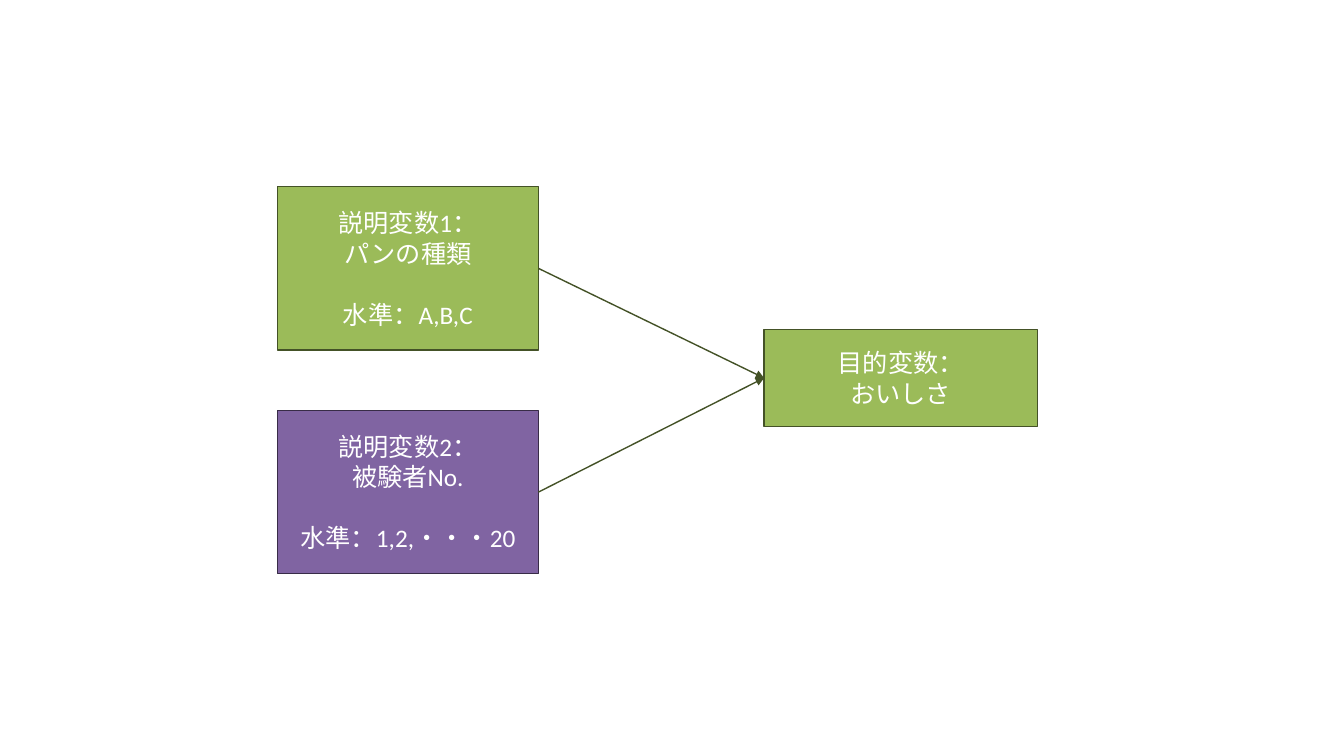
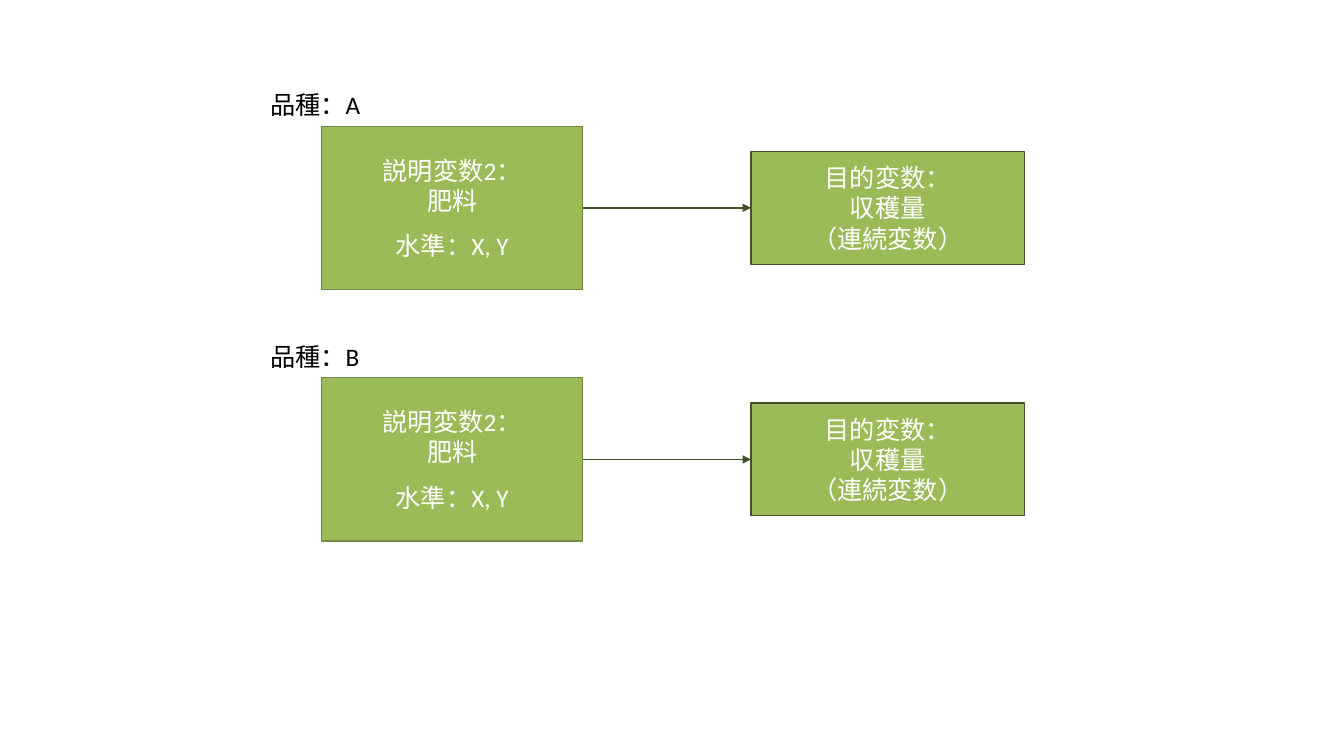
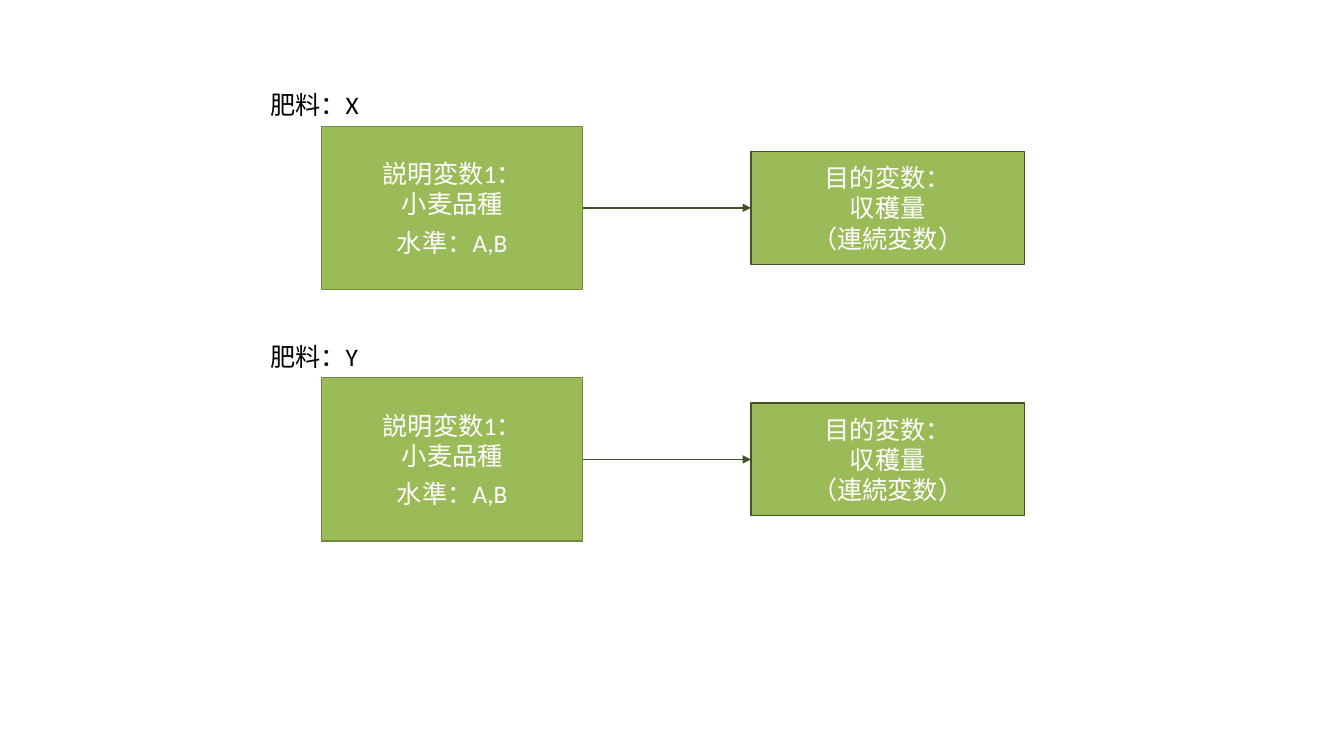
from dataclasses import dataclass

from lxml.etree import SubElement
from pptx import Presentation
from pptx.dml.color import RGBColor
from pptx.enum.shapes import MSO_CONNECTOR, MSO_SHAPE
from pptx.enum.text import MSO_ANCHOR, PP_ALIGN
from pptx.oxml.ns import qn
from pptx.util import Inches, Pt

WIDE, HIGH = Inches(13.33), Inches(7.5)
FONT, SIZE = "Calibri", Pt(18)
GREEN, PURPLE = "9BBB59", "8064A2"
DARK, OLIVE, PLUM = "445227", "738A42", "382C47"
WHITE, BLACK = "FFFFFF", "000000"
RIGHT, LEFT = 3, 1  # connection sites of a rectangle

# Lengths are percent of the slide's width (x, w) or height (mid, h).
CAUSE_W, CAUSE_H = 19.43, 21.6
GOAL_W = 20.33
LABEL_X, LABEL_W, LABEL_H = 19.35, 20.18, 5.5
FIRST, STEP = 27.5, 33.27


@dataclass
class Box:
    x: float
    mid: float
    w: float
    h: float
    paras: tuple[str, ...]
    gap: float = 0
    fill: str = GREEN
    line: str = DARK


@dataclass
class Study:
    """A slide that repeats one cause and goal for each label."""
    labels: tuple[str, ...]
    cause: tuple[str, ...]
    gap: float


STUDIES = (
    Study(("品種：A", "品種：B"), ("説明変数2：\n肥料", "水準：X, Y"), 11),
    Study(("肥料：X", "肥料：Y"), ("説明変数1：\n小麦品種", "水準：A,B"), 6),
)


def color(code: str) -> RGBColor:
    return RGBColor.from_string(code)


def across(share: float) -> int:
    return round(WIDE * share / 100)


def down(share: float) -> int:
    return round(HIGH * share / 100)


def write(frame, paras: tuple[str, ...], ink: str, align, gap: float = 0) -> None:
    """Fill a frame; a newline inside a paragraph is a line break."""
    frame.word_wrap = True
    for i, text in enumerate(paras):
        para = frame.add_paragraph() if i else frame.paragraphs[0]
        para.alignment = align
        if i and gap:
            para.space_before = Pt(gap)
        for j, part in enumerate(text.split("\n")):
            if j:
                para.add_line_break()
            run = para.add_run()
            run.text = part
            run.font.name, run.font.size = FONT, SIZE
            run.font.color.rgb = color(ink)


def draw(slide, box: Box):
    shape = slide.shapes.add_shape(
        MSO_SHAPE.RECTANGLE, across(box.x), down(box.mid - box.h / 2),
        across(box.w), down(box.h))
    shape.shadow.inherit = False
    shape.fill.solid()
    shape.fill.fore_color.rgb = color(box.fill)
    shape.line.color.rgb = color(box.line)
    shape.line.width = Pt(1)
    shape.text_frame.vertical_anchor = MSO_ANCHOR.MIDDLE
    write(shape.text_frame, box.paras, WHITE, PP_ALIGN.CENTER, box.gap)
    return shape


def join(slide, cause, goal) -> None:
    """Draw an arrow from the cause's right side to the goal's left side."""
    arrow = slide.shapes.add_connector(MSO_CONNECTOR.STRAIGHT, 0, 0, 0, 0)
    arrow.begin_connect(cause, RIGHT)
    arrow.end_connect(goal, LEFT)
    arrow.line.color.rgb = color(DARK)
    arrow.line.width = Pt(1)
    SubElement(arrow.line._get_or_add_ln(), qn("a:tailEnd"), type="triangle")
    SubElement(arrow._element.spPr, qn("a:effectLst"))


def label(slide, text: str, bottom: float) -> None:
    box = slide.shapes.add_textbox(
        across(LABEL_X), down(bottom - LABEL_H), across(LABEL_W), down(LABEL_H))
    write(box.text_frame, (text,), BLACK, PP_ALIGN.LEFT)


def taste(slide) -> None:
    goal = draw(slide, Box(56.85, 50, GOAL_W, 12.8, ("目的変数：", "おいしさ")))
    causes = (
        (35.5, ("説明変数1：\nパンの種類", "水準：A,B,C"), GREEN, DARK),
        (65.1, ("説明変数2：\n被験者No.", "水準：1,2,・・・20"), PURPLE, PLUM),
    )
    for mid, paras, fill, line in causes:
        box = Box(20.63, mid, CAUSE_W, CAUSE_H, paras, 22, fill, line)
        join(slide, draw(slide, box), goal)


def crop(slide, study: Study) -> None:
    for row, text in enumerate(study.labels):
        mid = FIRST + row * STEP
        goal = draw(slide, Box(55.88, mid, GOAL_W, 14.93,
                               ("目的変数：", "収穫量", "（連続変数）")))
        cause = draw(slide, Box(23.93, mid, CAUSE_W, CAUSE_H, study.cause,
                                study.gap, line=OLIVE))
        label(slide, text, mid - CAUSE_H / 2)
        join(slide, cause, goal)


def main() -> None:
    deck = Presentation()
    deck.slide_width, deck.slide_height = WIDE, HIGH
    blank = deck.slide_layouts[6]
    taste(deck.slides.add_slide(blank))
    for study in STUDIES:
        crop(deck.slides.add_slide(blank), study)
    deck.save("out.pptx")


if __name__ == "__main__":
    main()
